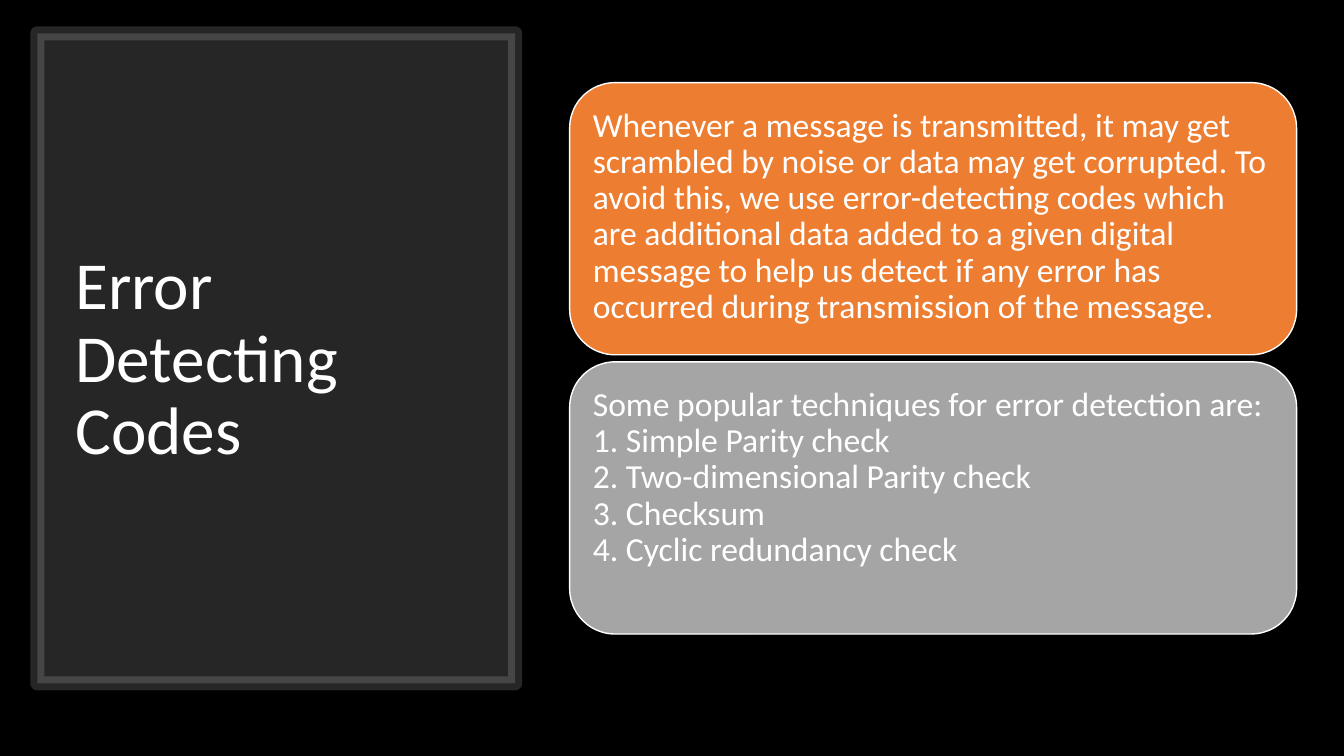
from pptx import Presentation
from pptx.dml.color import RGBColor
from pptx.enum.shapes import MSO_SHAPE
from pptx.enum.text import MSO_ANCHOR, PP_ALIGN
from pptx.oxml.ns import qn
from pptx.util import Inches, Pt
from lxml import etree

RECTANGLE = MSO_SHAPE.RECTANGLE
ROUNDED = MSO_SHAPE.ROUNDED_RECTANGLE
TOP = MSO_ANCHOR.TOP
MIDDLE = MSO_ANCHOR.MIDDLE
LEFT = PP_ALIGN.LEFT

WHITE = "FFFFFF"
CARDS = [
    ("ED7D31", [
        "Whenever a message is transmitted, it may get scrambled by noise or data "
        "may get corrupted. To avoid this, we use error-detecting codes which are "
        "additional data added to a given digital message to help us detect if any "
        "error has occurred during transmission of the message.",
    ]),
    ("A5A5A5", [
        "Some popular techniques for error detection are:",
        "1. Simple Parity check",
        "2. Two-dimensional Parity check",
        "3. Checksum",
        "4. Cyclic redundancy check",
    ]),
]


def color(value):
    return RGBColor.from_string(value)


def set_opacity(fill, percent):
    fill.solid()
    fill.fore_color.rgb = color(WHITE)
    for element in fill._xPr.iter(qn("a:srgbClr")):
        etree.SubElement(element, qn("a:alpha")).set("val", str(percent * 1000))


def add_box(slide, kind, box, line_width):
    shape = slide.shapes.add_shape(kind, *[Inches(length) for length in box])
    shape.shadow.inherit = False
    shape.line.color.rgb = color(WHITE)
    shape.line.width = Pt(line_width)
    return shape


def write_lines(frame, lines, size, anchor):
    frame.word_wrap = True
    frame.vertical_anchor = anchor
    paragraph = frame.paragraphs[0]
    paragraph.alignment = LEFT
    paragraph.line_spacing = 0.9
    for index, line in enumerate(lines):
        if index:
            paragraph.add_line_break()
        run = paragraph.add_run()
        run.text = line
        run.font.name = "Calibri"
        run.font.size = Pt(size)
        run.font.color.rgb = color(WHITE)


def add_title_panel(slide, box, title):
    left, top, width, height = box
    panel = add_box(slide, RECTANGLE, box, 10)
    set_opacity(panel.line.fill, 10)
    set_opacity(panel.fill, 15)
    title_box = slide.shapes.add_textbox(
        Inches(left + 0.28), Inches(top + 0.37),
        Inches(width - 0.58), Inches(height - 0.7))
    write_lines(title_box.text_frame, [title], 48, MIDDLE)


def add_cards(slide, box, cards, gap):
    left, top, width, height = box
    card_height = (height - gap * (len(cards) - 1)) / len(cards)
    for index, (fill, lines) in enumerate(cards):
        card_top = top + index * (card_height + gap)
        card = add_box(slide, ROUNDED, (left, card_top, width, card_height), 1)
        card.fill.solid()
        card.fill.fore_color.rgb = color(fill)
        frame = card.text_frame
        frame.margin_left = frame.margin_right = Inches(0.1)
        frame.margin_top = frame.margin_bottom = Inches(0.12)
        write_lines(frame, lines, 24, TOP)


def main():
    presentation = Presentation()
    presentation.slide_width = Inches(13.33)
    presentation.slide_height = Inches(7.5)
    slide = presentation.slides.add_slide(presentation.slide_layouts[6])
    slide.background.fill.solid()
    slide.background.fill.fore_color.rgb = color("000000")
    add_title_panel(slide, (0.37, 0.33, 4.74, 6.45), "Error Detecting Codes")
    add_cards(slide, (5.65, 0.82, 7.21, 5.47), CARDS, 0.07)
    presentation.save("out.pptx")


if __name__ == "__main__":
    main()
